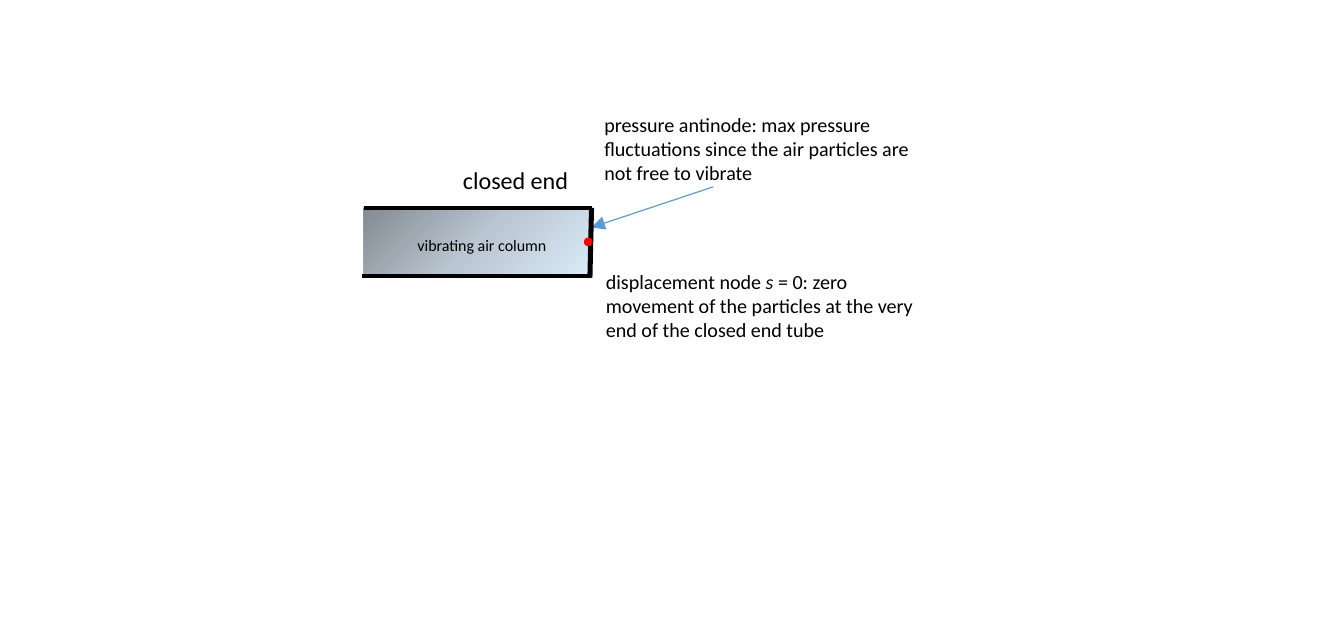
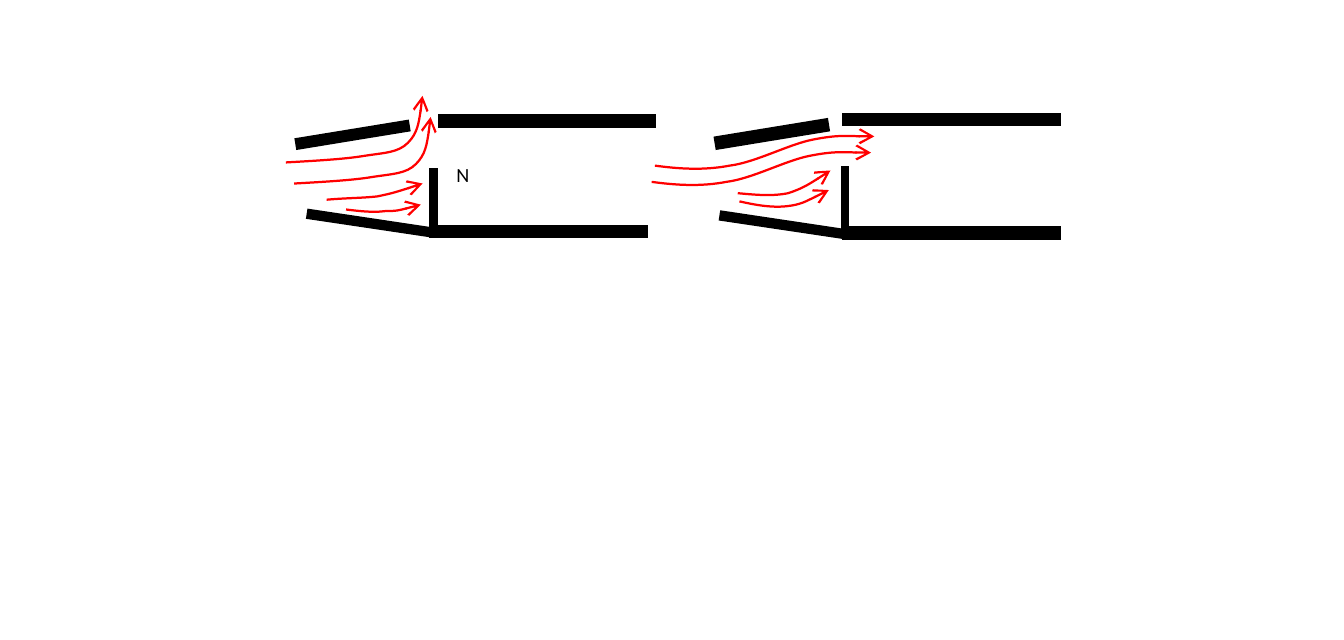
"""Two slides on pipe acoustics: a closed tube end and the air jet at an organ pipe mouth."""
from pptx import Presentation, util as u
from pptx.dml.color import RGBColor
from pptx.enum import shapes, text
from pptx.oxml import parse_xml
from pptx.oxml.ns import nsdecls, qn
from pptx.oxml.xmlchemy import OxmlElement

BLACK = RGBColor(0x00, 0x00, 0x00)
RED = RGBColor(0xFF, 0x00, 0x00)
BLUE = RGBColor(0x5B, 0x9B, 0xD5)
AIR_STOPS = [(0, RGBColor(0x83, 0x8B, 0x93)), (50, RGBColor(0xBA, 0xC6, 0xD1)),
             (100, RGBColor(0xDC, 0xEB, 0xF8))]
FONT = "Calibri"


def style_line(sp, color, width, head=None):
    sp.line.color.rgb = color
    sp.line.width = u.Pt(width)
    spPr = sp._element.spPr
    ln = spPr.find(qn("a:ln"))
    miter = OxmlElement("a:miter")
    miter.set("lim", "800000")
    ln.append(miter)
    if head:
        tail = OxmlElement("a:tailEnd")
        tail.set("type", head)
        ln.append(tail)
    if spPr.find(qn("a:effectLst")) is None:
        spPr.append(OxmlElement("a:effectLst"))


def add_label(s, box, size, runs, wrap=False):
    tf = s.shapes.add_textbox(*map(u.Inches, box)).text_frame
    tf.word_wrap = wrap
    tf.auto_size = text.MSO_AUTO_SIZE.SHAPE_TO_FIT_TEXT
    p = tf.paragraphs[0]
    for words, italic in runs:
        r = p.add_run()
        r.text = words
        r.font.name = FONT
        r.font.size = u.Pt(size)
        r.font.italic = italic
        r.font.color.rgb = BLACK


prs = Presentation()
prs.slide_width, prs.slide_height = u.Inches(8.27), u.Inches(3.94)
blank = prs.slide_layouts[6]

s = prs.slides.add_slide(blank)
air = s.shapes.add_shape(shapes.MSO_SHAPE.RECTANGLE, *map(u.Inches, (2.24, 1.28, 1.4, 0.43)))
air.shadow.inherit = False
air.line.fill.background()
air.fill.background()
stops = "".join(f'<a:gs pos="{pos * 1000}"><a:srgbClr val="{color}"/></a:gs>'
                for pos, color in AIR_STOPS)
gradient = parse_xml(f'<a:gradFill {nsdecls("a")}><a:gsLst>{stops}</a:gsLst><a:path path="circle">'
                     '<a:fillToRect r="100000" b="100000"/></a:path></a:gradFill>')
spPr = air._element.spPr
spPr.replace(spPr.find(qn("a:noFill")), gradient)

for ends, color, width in [((2.24, 1.28, 3.64, 1.28), BLACK, 1.5),
                           ((2.23, 1.7, 3.63, 1.7), BLACK, 1.5)]:
    line = s.shapes.add_connector(shapes.MSO_CONNECTOR.STRAIGHT, *map(u.Inches, ends))
    style_line(line, color, width)

add_label(s, (3.63, 1.61, 2.09, 0.55), 8.9, [
    ("displacement node ", False), ("s", True),
    (" = 0: zero movement of the particles at the very end of the closed end tube", False),
], wrap=True)
add_label(s, (3.62, 0.64, 2.09, 0.55), 8.9, [
    ("pressure antinode: max pressure fluctuations since the air particles are "
     "not free to vibrate", False),
], wrap=True)
pointer = s.shapes.add_connector(shapes.MSO_CONNECTOR.STRAIGHT,
                                 *map(u.Inches, (4.39, 1.15, 3.64, 1.4)))
style_line(pointer, BLUE, 0.5, "triangle")
add_label(s, (2.75, 0.97, 0.85, 0.28), 10.7, [("closed end", False)])
add_label(s, (2.47, 1.4, 1.01, 0.22), 7.1, [("vibrating air column", False)])
cap = s.shapes.add_connector(shapes.MSO_CONNECTOR.STRAIGHT,
                             *map(u.Inches, (3.64, 1.28, 3.63, 1.71)))
style_line(cap, BLACK, 2.25)

node = s.shapes.add_shape(shapes.MSO_SHAPE.OVAL, *map(u.Inches, (3.6, 1.47, 0.04, 0.04)))
node.shadow.inherit = False
node.fill.solid()
node.fill.fore_color.rgb = RED
style_line(node, RED, 1)

s = prs.slides.add_slide(blank)
FLOOR_TILT, LIP_TILT = 8.5, -9.3
walls = [
    (2.7, 0.71, 1.33, 0.07, 0), (2.65, 1.39, 1.33, 0.07, 0), (2.65, 1.04, 0.04, 0.41, 0),
    (1.89, 1.35, 0.78, 0.05, FLOOR_TILT), (1.82, 0.8, 0.7, 0.06, LIP_TILT),
    (5.19, 0.7, 1.33, 0.07, 0), (5.19, 1.4, 1.33, 0.07, 0), (5.18, 1.03, 0.04, 0.42, 0),
    (4.43, 1.36, 0.78, 0.05, FLOOR_TILT), (4.4, 0.79, 0.7, 0.07, LIP_TILT),
]
for *box, tilt in walls:
    sp = s.shapes.add_shape(shapes.MSO_SHAPE.RECTANGLE, *map(u.Inches, box))
    sp.shadow.inherit = False
    sp.rotation = tilt
    sp.fill.solid()
    sp.fill.fore_color.rgb = BLACK
    style_line(sp, BLACK, 1)

jet_in = [(4.03, 1.02), (4.18, 1.04), (4.33, 1.05), (4.49, 1.02), (4.65, 1), (4.85, 0.89),
          (5, 0.86), (5.15, 0.83), (5.26, 0.84), (5.38, 0.84)]
jet_out = [(1.76, 1), (1.94, 0.99), (2.12, 0.98), (2.24, 0.96), (2.37, 0.94), (2.45, 0.94),
           (2.51, 0.88), (2.57, 0.82), (2.59, 0.7), (2.6, 0.59)]
air_flows = [
    jet_in,
    [(x - 0.02, y + 0.1) for x, y in jet_in],
    [(4.54, 1.19), (4.65, 1.2), (4.75, 1.21), (4.85, 1.19), (4.94, 1.16), (5.02, 1.11),
     (5.11, 1.05)],
    [(4.55, 1.24), (4.64, 1.26), (4.74, 1.28), (4.84, 1.27), (4.93, 1.26), (5.02, 1.21),
     (5.1, 1.17)],
    jet_out,
    [(x + 0.05, y + 0.13) for x, y in jet_out],
    [(2.01, 1.23), (2.12, 1.22), (2.23, 1.22), (2.32, 1.21), (2.42, 1.19), (2.51, 1.16),
     (2.6, 1.13)],
    [(2.13, 1.29), (2.21, 1.3), (2.3, 1.31), (2.37, 1.3), (2.45, 1.3), (2.52, 1.28),
     (2.59, 1.26)],
]
for flow in air_flows:
    points = [(u.Inches(x), u.Inches(y)) for x, y in flow]
    builder = s.shapes.build_freeform(*points[0])
    builder.add_line_segments(points[1:], close=False)
    sp = builder.convert_to_shape()
    segments = sp._element.xpath(".//a:lnTo")
    for i in range(0, len(segments), 3):
        curve = OxmlElement("a:cubicBezTo")
        segments[i].addprevious(curve)
        for segment in segments[i:i + 3]:
            curve.append(segment[0])
            segment.getparent().remove(segment)
    sp.shadow.inherit = False
    sp.fill.background()
    style_line(sp, RED, 1, "arrow")

add_label(s, (2.71, 0.95, 0.28, 0.25), 8.9, [("N", False)])

prs.save("out.pptx")
